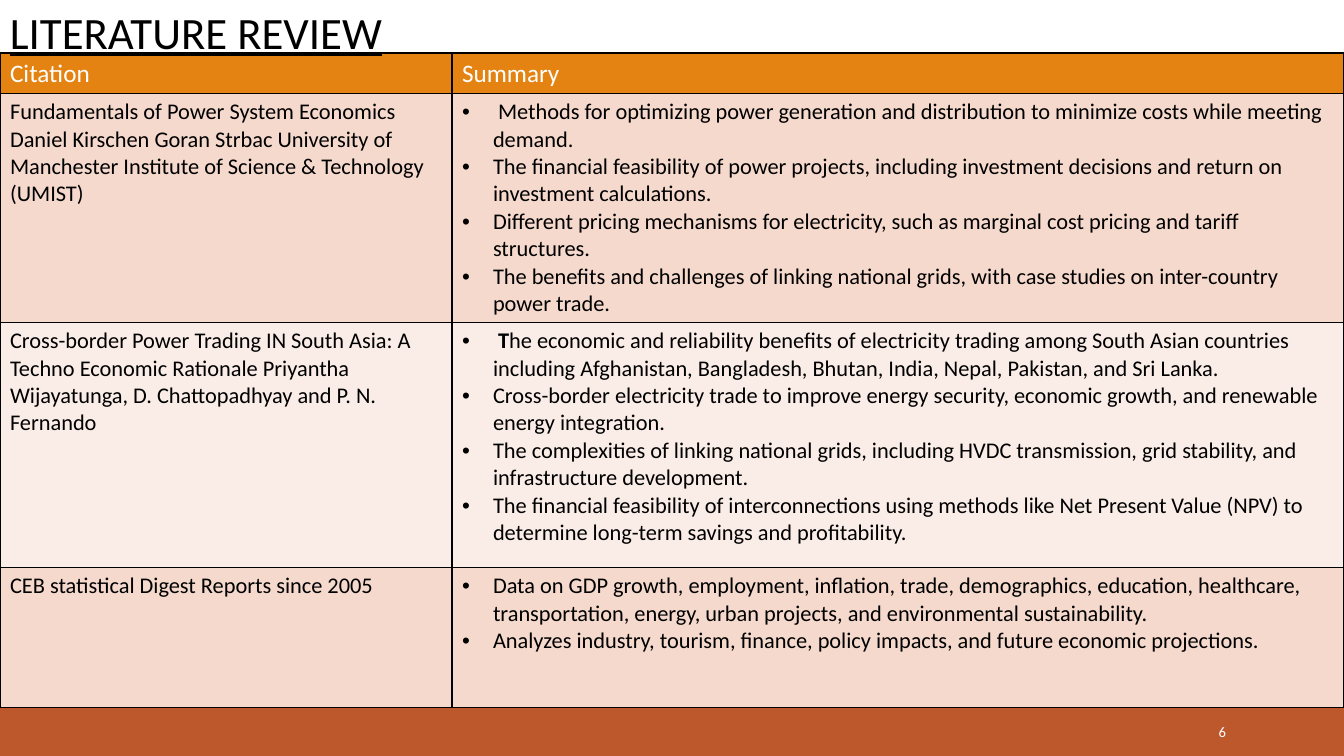
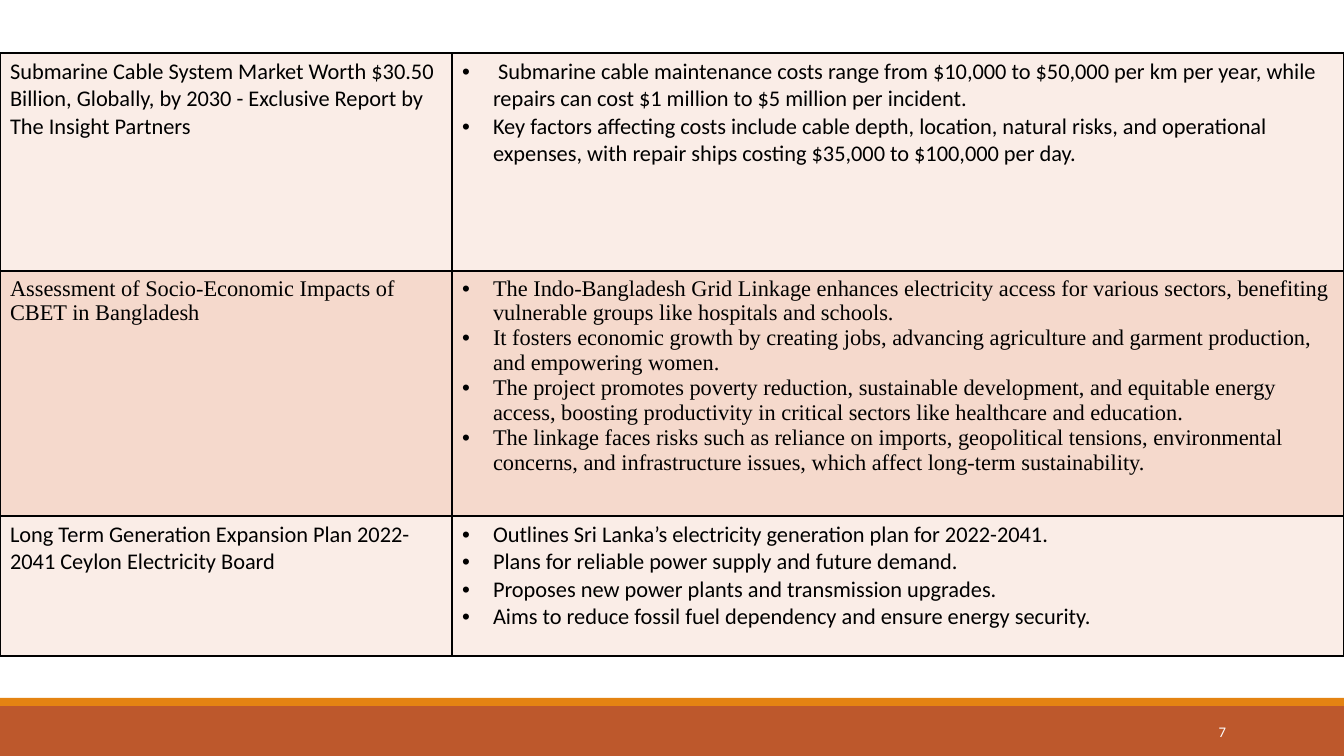
"""Build two literature review slides with citation tables."""
from lxml.etree import SubElement
from pptx import Presentation
from pptx.dml.color import RGBColor
from pptx.enum.shapes import MSO_SHAPE
from pptx.enum.text import MSO_ANCHOR, PP_ALIGN
from pptx.oxml.ns import qn
from pptx.util import Pt

SANS, SERIF = "Calibri", "Times New Roman"
BLACK, WHITE, RUST, ORANGE = "000000", "FFFFFF", "BD582C", "E48312"
ROW_SHADES = ("F5D9CC", "FAEDE7")
WIDTH, HEIGHT = 1344, 756
COLUMNS = (452, 892)
TABLE_TOP, HEADER_HEIGHT, INDENT = 53, 40, 31
BANDS = ((706, 50, RUST), (698, 8, ORANGE))

TITLE = "LITERATURE REVIEW"
HEADINGS = ("Citation", "Summary")
REVIEWS = [
    (229, SANS,
     ["Fundamentals of Power System Economics",
      "Daniel Kirschen Goran Strbac University of Manchester Institute of Science & Technology (UMIST)"],
     [" Methods for optimizing power generation and distribution to minimize costs while meeting demand.",
      "The financial feasibility of power projects, including investment decisions and return on investment calculations.",
      "Different pricing mechanisms for electricity, such as marginal cost pricing and tariff structures.",
      "The benefits and challenges of linking national grids, with case studies on inter-country power trade."]),
    (245, SANS,
     ["Cross-border Power Trading IN South Asia: A Techno Economic Rationale Priyantha Wijayatunga, "
      "D. Chattopadhyay and P. N. Fernando"],
     [(" T", "he economic and reliability benefits of electricity trading among South Asian countries "
       "including Afghanistan, Bangladesh, Bhutan, India, Nepal, Pakistan, and Sri Lanka."),
      "Cross-border electricity trade to improve energy security, economic growth, and renewable energy integration.",
      "The complexities of linking national grids, including HVDC transmission, grid stability, "
      "and infrastructure development.",
      "The financial feasibility of interconnections using methods like Net Present Value (NPV) "
      "to determine long-term savings and profitability."]),
    (140, SANS,
     ["CEB statistical Digest Reports since 2005"],
     ["Data on GDP growth, employment, inflation, trade, demographics, education, healthcare, "
      "transportation, energy, urban projects, and environmental sustainability.",
      "Analyzes industry, tourism, finance, policy impacts, and future economic projections."]),
    (218, SANS,
     ["Submarine Cable System Market Worth $30.50 Billion, Globally, by 2030 - Exclusive Report by The Insight Partners"],
     [" Submarine cable maintenance costs range from $10,000 to $50,000 per km per year, "
      "while repairs can cost $1 million to $5 million per incident.",
      "Key factors affecting costs include cable depth, location, natural risks, and operational "
      "expenses, with repair ships costing $35,000 to $100,000 per day."]),
    (245, SERIF,
     ["Assessment of Socio-Economic Impacts of CBET in Bangladesh"],
     ["The Indo-Bangladesh Grid Linkage enhances electricity access for various sectors, "
      "benefiting vulnerable groups like hospitals and schools.",
      "It fosters economic growth by creating jobs, advancing agriculture and garment production, and empowering women.",
      "The project promotes poverty reduction, sustainable development, and equitable energy access, "
      "boosting productivity in critical sectors like healthcare and education.",
      "The linkage faces risks such as reliance on imports, geopolitical tensions, environmental "
      "concerns, and infrastructure issues, which affect long-term sustainability."]),
    (140, SANS,
     ["Long Term Generation Expansion Plan 2022-2041 Ceylon Electricity Board"],
     ["Outlines Sri Lanka’s electricity generation plan for 2022-2041.",
      "Plans for reliable power supply and future demand.",
      "Proposes new power plants and transmission upgrades.",
      "Aims to reduce fossil fuel dependency and ensure energy security."]),
]
PAGES = [(6, TITLE, HEADINGS, 0, 3), (7, None, None, 3, 6)]


def px(length):
    return round(length * 914400 / 100.8)


def color(value):
    return RGBColor.from_string(value)


def paint(target, value):
    target.fill.solid()
    target.fill.fore_color.rgb = color(value)


def style(para, size, shade=BLACK, name=SANS):
    para.font.size = Pt(size)
    para.font.name = name
    para.font.color.rgb = color(shade)


def add_bullet(para):
    settings = para._p.get_or_add_pPr()
    settings.set("marL", str(px(INDENT)))
    settings.set("indent", str(-px(INDENT)))
    SubElement(settings, qn("a:buFont"), typeface="Arial")
    SubElement(settings, qn("a:buChar"), char="•")


def add_borders(cell):
    settings = cell._tc.get_or_add_tcPr()
    for side in ("lnL", "lnR", "lnT", "lnB"):
        line = SubElement(settings, qn(f"a:{side}"), w=str(Pt(1)))
        SubElement(SubElement(line, qn("a:solidFill")), qn("a:srgbClr"), val=BLACK)


def fill_cell(cell, lines, background, size, shade, name, bulleted=False):
    add_borders(cell)
    paint(cell, background)
    frame = cell.text_frame
    for index, line in enumerate(lines):
        para = frame.add_paragraph() if index else frame.paragraphs[0]
        if bulleted:
            add_bullet(para)
        style(para, size, shade, name)
        if isinstance(line, tuple):
            lead, rest = line
            span = para.add_run()
            span.text = lead
            span.font.bold = True
            line = rest
        para.add_run().text = line


def add_label(page, text, left, top, width, height, size, shade):
    box = page.shapes.add_textbox(px(left), px(top), px(width), px(height))
    box.text_frame.word_wrap = True
    para = box.text_frame.paragraphs[0]
    para.text = text
    style(para, size, shade)
    return box.text_frame, para


def add_frame(page, number):
    for top, height, shade in BANDS:
        band = page.shapes.add_shape(MSO_SHAPE.RECTANGLE, 0, px(top), px(WIDTH), px(height))
        band.shadow.inherit = False
        band.line.fill.background()
        paint(band, shade)
    frame, para = add_label(page, str(number), 1092, 712, 144, 40, 10.5, WHITE)
    frame.vertical_anchor = MSO_ANCHOR.MIDDLE
    para.alignment = PP_ALIGN.RIGHT


def add_reviews(page, headings, start, stop):
    heights = [review[0] for review in REVIEWS[start:stop]]
    if headings:
        heights.insert(0, HEADER_HEIGHT)
    table = page.shapes.add_table(len(heights), len(COLUMNS), 0, px(TABLE_TOP),
                                  px(WIDTH), px(sum(heights))).table
    table.first_row = table.horz_banding = False
    for column, width in zip(table.columns, COLUMNS):
        column.width = px(width)
    for row, height in zip(table.rows, heights):
        row.height = px(height)
    rows = iter(table.rows)
    if headings:
        for cell, heading in zip(next(rows).cells, headings):
            fill_cell(cell, [heading], ORANGE, 18, WHITE, SANS)
    for index, row in enumerate(rows, start):
        _, name, citation, summary = REVIEWS[index]
        for cell, lines in zip(row.cells, (citation, summary)):
            fill_cell(cell, lines, ROW_SHADES[index % 2], 16, BLACK, name, lines is summary)


def main():
    deck = Presentation()
    deck.slide_width, deck.slide_height = px(WIDTH), px(HEIGHT)
    for number, title, headings, start, stop in PAGES:
        page = deck.slides.add_slide(deck.slide_layouts[6])
        add_frame(page, number)
        add_reviews(page, headings, start, stop)
        if title:
            _, para = add_label(page, title, 0, 0, 643, 64, 32, BLACK)
            para.font.underline = True
    deck.save("out.pptx")


if __name__ == "__main__":
    main()
